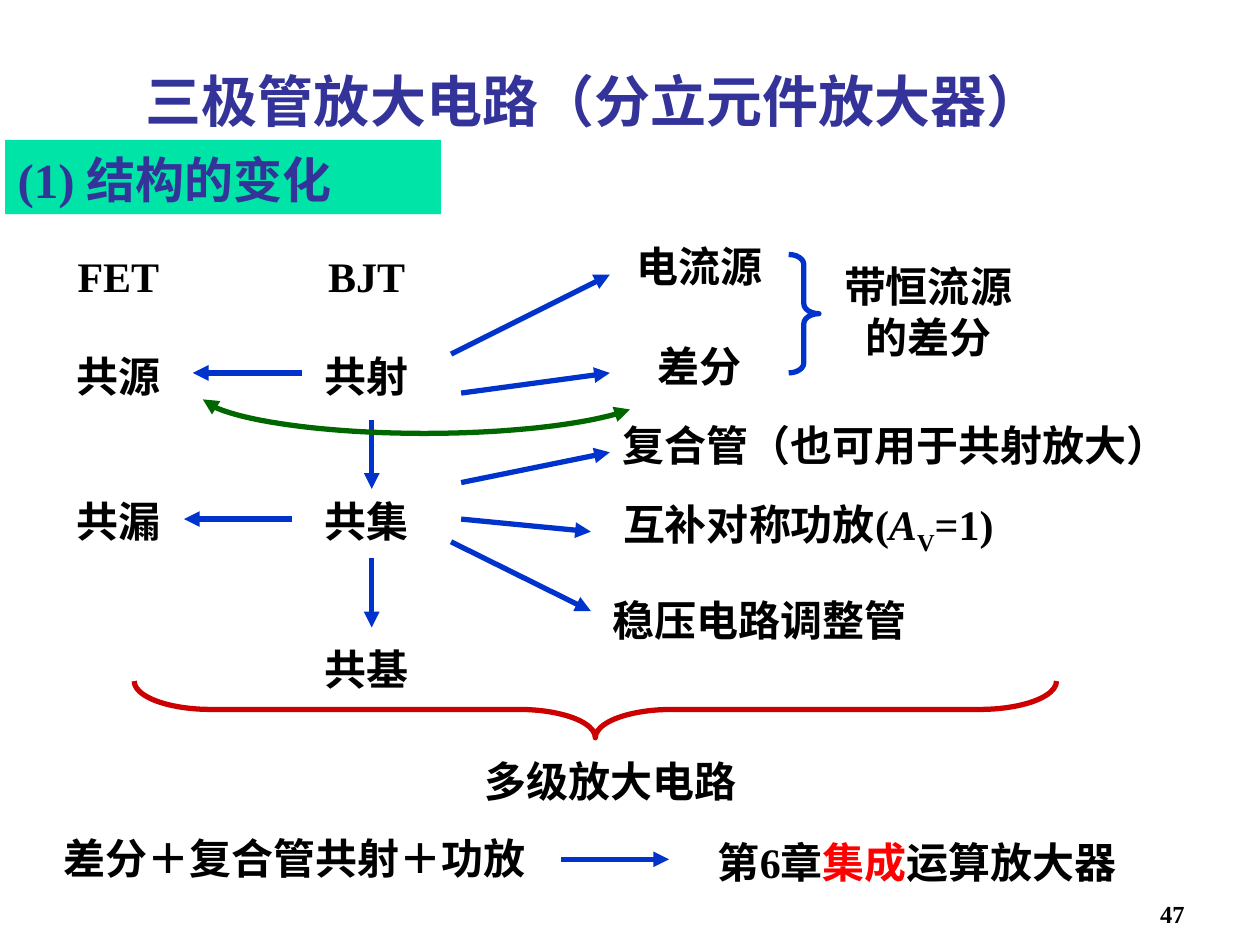
from dataclasses import dataclass

from lxml import etree
from pptx import Presentation
from pptx.dml.color import RGBColor
from pptx.enum import shapes, text
from pptx.oxml.ns import qn
from pptx.util import Inches, Pt

COLORS = {
    "black": "000000", "title": "333399", "banner": "00E4A8", "blue": "0033CC",
    "brace": "CC0000", "red": "FF0000", "green": "006600",
}
LATIN, CHINESE = "Times New Roman", "Noto Sans CJK SC"
LEFT, CENTER, RIGHT = text.PP_ALIGN.LEFT, text.PP_ALIGN.CENTER, text.PP_ALIGN.RIGHT
Point = tuple[float, float]


@dataclass(frozen=True)
class Run:
    words: str
    color: str = "black"
    size: float = 24
    font: str = LATIN
    italic: bool = False
    baseline: int = 0


@dataclass(frozen=True)
class Label:
    left: float
    top: float
    width: float
    paragraphs: tuple[tuple[Run, ...], ...]
    height: float = 0.5
    align: text.PP_ALIGN = CENTER
    anchor: text.MSO_ANCHOR = text.MSO_ANCHOR.TOP


@dataclass(frozen=True)
class Arrow:
    start: Point
    end: Point


@dataclass(frozen=True)
class Brace:
    kind: shapes.MSO_SHAPE
    left: float
    top: float
    width: float
    height: float
    curl: float
    color: str
    rotation: float = 0


def rgb(name: str) -> RGBColor:
    return RGBColor.from_string(COLORS[name])


def simple(words: str, left: float, top: float, width: float, **options) -> Label:
    """Label with one run on each line of words."""
    lines = tuple((Run(line),) for line in words.split("\n"))
    return Label(left, top, width, lines, **options)


def add_run(paragraph, item: Run) -> None:
    run = paragraph.add_run()
    run.text = item.words
    font = run.font
    font.size, font.bold, font.italic = Pt(item.size), True, item.italic
    font.color.rgb = rgb(item.color)
    font.name = item.font
    properties = run._r.get_or_add_rPr()
    etree.SubElement(properties, qn("a:ea")).set("typeface", CHINESE)
    if item.baseline:
        properties.set("baseline", str(item.baseline * 1000))


def fill_text(shape, label: Label) -> None:
    frame = shape.text_frame
    frame.word_wrap = True
    frame.auto_size = text.MSO_AUTO_SIZE.NONE
    frame.vertical_anchor = label.anchor
    for index, runs in enumerate(label.paragraphs):
        paragraph = frame.add_paragraph() if index else frame.paragraphs[0]
        paragraph.alignment = label.align
        for item in runs:
            add_run(paragraph, item)


def add_label(slide, label: Label) -> None:
    box = (label.left, label.top, label.width, label.height)
    fill_text(slide.shapes.add_textbox(*map(Inches, box)), label)


def style_line(shape, color: str, *ends: str) -> None:
    """Colour the line and put triangles at the named ends."""
    shape.line.color.rgb = rgb(color)
    shape.line.width = Pt(3)
    line = shape.line._get_or_add_ln()
    for end in ends:
        etree.SubElement(line, qn(f"a:{end}")).set("type", "triangle")


def add_arrow(slide, arrow: Arrow) -> None:
    connector = slide.shapes.add_connector(
        shapes.MSO_CONNECTOR.STRAIGHT, *map(Inches, arrow.start + arrow.end))
    style_line(connector, "blue", "tailEnd")
    etree.SubElement(connector._element.spPr, qn("a:effectLst"))


def add_brace(slide, brace: Brace) -> None:
    box = (brace.left, brace.top, brace.width, brace.height)
    shape = slide.shapes.add_shape(brace.kind, *map(Inches, box))
    shape.adjustments[0] = brace.curl
    shape.rotation = brace.rotation
    shape.shadow.inherit = False
    shape.fill.background()
    style_line(shape, brace.color)


def curve_points(a: Point, b: Point, c: Point, d: Point, steps: int = 24) -> list[Point]:
    """Points on a cubic Bezier curve, without its start."""
    points = []
    for step in range(1, steps + 1):
        t = step / steps
        weights = ((1 - t) ** 3, 3 * t * (1 - t) ** 2, 3 * t * t * (1 - t), t ** 3)
        points.append(tuple(sum(w * p[axis] for w, p in zip(weights, (a, b, c, d)))
                            for axis in (0, 1)))
    return points


def add_double_arrow_curve(slide) -> None:
    start, middle, end = (1.61, 3.17), (3.37, 3.44), (5, 3.25)
    points = (curve_points(start, (1.75, 3.32), (2.5, 3.44), middle)
              + curve_points(middle, (4.08, 3.44), (4.71, 3.36), end))
    # The builder rounds to whole units, so it is given EMU rather than inches.
    builder = slide.shapes.build_freeform(*map(Inches, start))
    builder.add_line_segments([(Inches(x), Inches(y)) for x, y in points], close=False)
    curve = builder.convert_to_shape()
    curve.shadow.inherit = False
    curve.fill.background()
    style_line(curve, "green", "headEnd", "tailEnd")


def add_section_title(slide) -> None:
    title = slide.shapes.title
    title.left, title.top = Inches(0.04), Inches(1.11)
    title.width, title.height = Inches(3.46), Inches(0.59)
    title.fill.solid()
    title.fill.fore_color.rgb = rgb("banner")
    runs = (Run("(1) 结构的变化", "title", 28),)
    fill_text(title, Label(0.04, 1.11, 3.46, (runs,), 0.59, LEFT, text.MSO_ANCHOR.BOTTOM))


FET_LEFT, BJT_LEFT, COLUMN_WIDTH = 0.43, 2.4, 1.02
ROWS = ((1.94, "FET", "BJT"), (2.73, "共源", "共射"), (3.88, "共漏", "共集"), (5.06, "", "共基"))
LABELS = [simple(words, left, top, COLUMN_WIDTH)
          for top, fet, bjt in ROWS
          for left, words in ((FET_LEFT, fet), (BJT_LEFT, bjt)) if words]
LABELS += [
    Label(1.06, 0.36, 8.52, ((Run("三极管放大电路（分立元件放大器）", "title", 32),),),
          0.75, LEFT, text.MSO_ANCHOR.BOTTOM),
    simple("电流源", 4.84, 1.86, 1.42),
    simple("差分", 4.84, 2.65, 1.42),
    simple("带恒流源\n的差分", 6.42, 2.02, 1.89, height=0.9),
    simple("复合管（也可用于共射放大）", 4.84, 3.28, 4.88, align=LEFT),
    Label(4.76, 3.91, 3.31, ((Run("互补对称功放("), Run("A", italic=True),
                              Run("V", baseline=-25), Run("=1)")),)),
    simple("稳压电路调整管", 4.45, 4.67, 3.15),
    simple("多级放大电路", 3.27, 5.95, 3.15),
    simple("差分＋复合管共射＋功放", 0.27, 6.56, 4.13),
    Label(5.39, 6.59, 3.78, ((Run("第", font=CHINESE), Run("6章"),
                              Run("集成", "red", font=CHINESE),
                              Run("运算放大器", font=CHINESE)),)),
    Label(7.42, 6.92, 2.08, ((Run("47", size=14),),), 0.5, RIGHT, text.MSO_ANCHOR.BOTTOM),
]
ARROWS = [
    Arrow((2.95, 3.33), (2.95, 3.88)), Arrow((2.95, 4.43), (2.95, 4.98)),
    Arrow((2.4, 2.96), (1.53, 2.96)), Arrow((2.32, 4.12), (1.46, 4.12)),
    Arrow((3.58, 2.81), (4.84, 2.18)), Arrow((3.66, 3.12), (4.84, 2.96)),
    Arrow((3.66, 3.83), (4.84, 3.59)), Arrow((3.66, 4.12), (4.69, 4.22)),
    Arrow((3.58, 4.3), (4.69, 4.85)), Arrow((4.45, 6.82), (5.31, 6.82)),
]
BRACES = [
    Brace(shapes.MSO_SHAPE.RIGHT_BRACE, 6.26, 2.02, 0.24, 0.94, 0.33, "blue"),
    Brace(shapes.MSO_SHAPE.LEFT_BRACE, 4.5, 1.97, 0.45, 7.32, 1.35, "brace", 270),
]


def main() -> None:
    presentation = Presentation()
    presentation.slide_width, presentation.slide_height = Inches(10), Inches(7.5)
    slide = presentation.slides.add_slide(presentation.slide_layouts[5])
    add_section_title(slide)
    for label in LABELS:
        add_label(slide, label)
    for arrow in ARROWS:
        add_arrow(slide, arrow)
    for brace in BRACES:
        add_brace(slide, brace)
    add_double_arrow_curve(slide)
    presentation.save("out.pptx")


if __name__ == "__main__":
    main()
